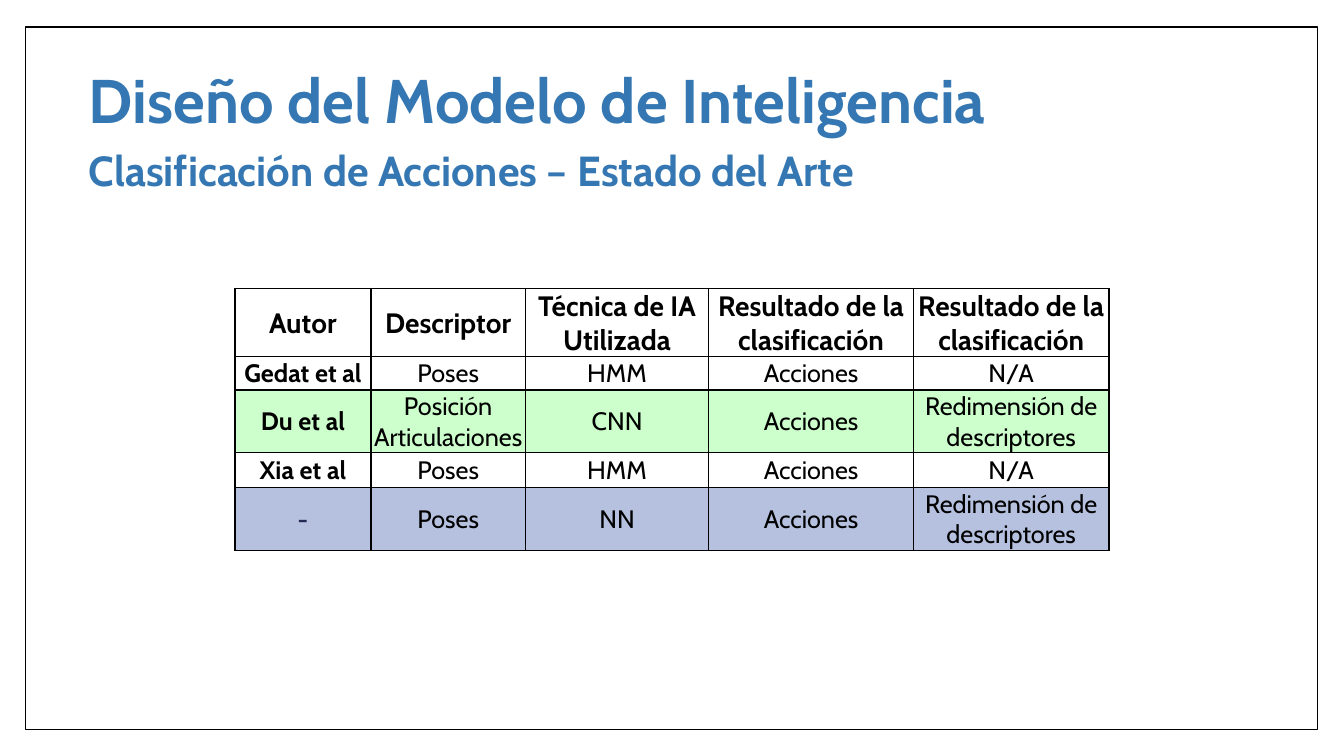
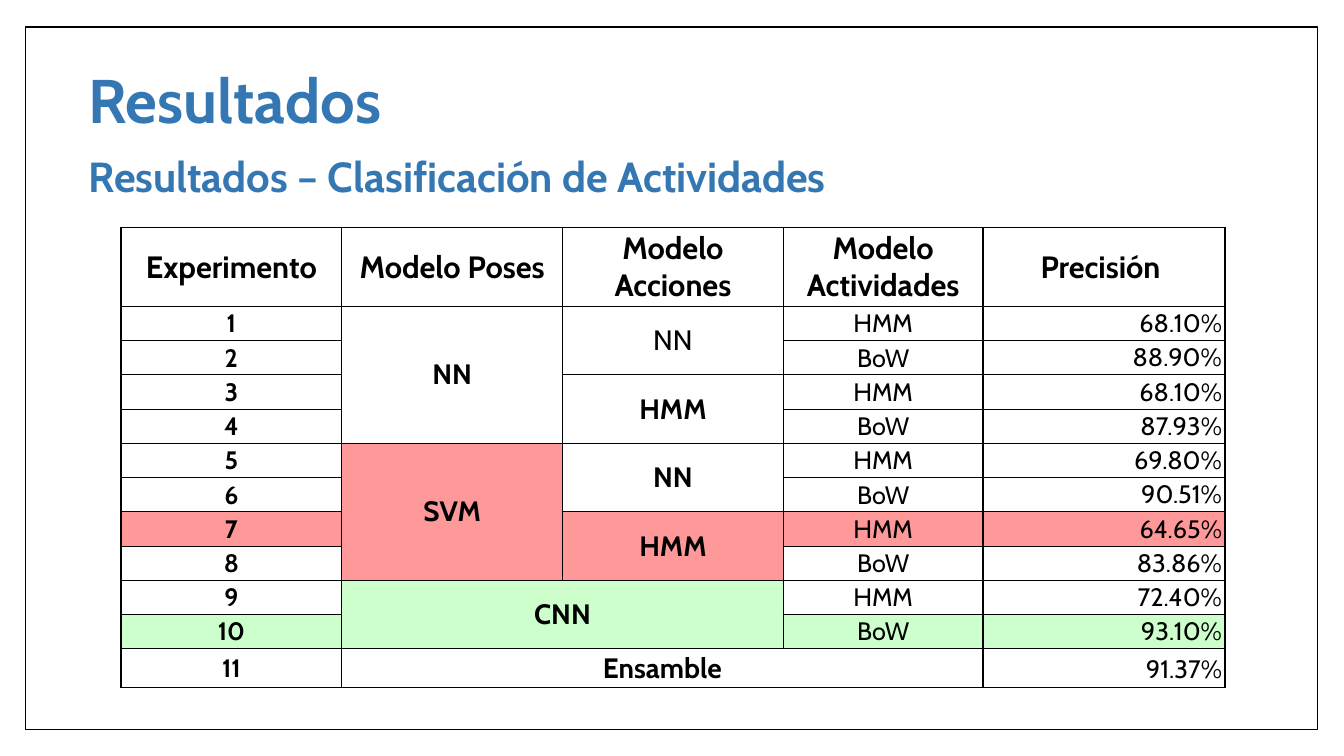
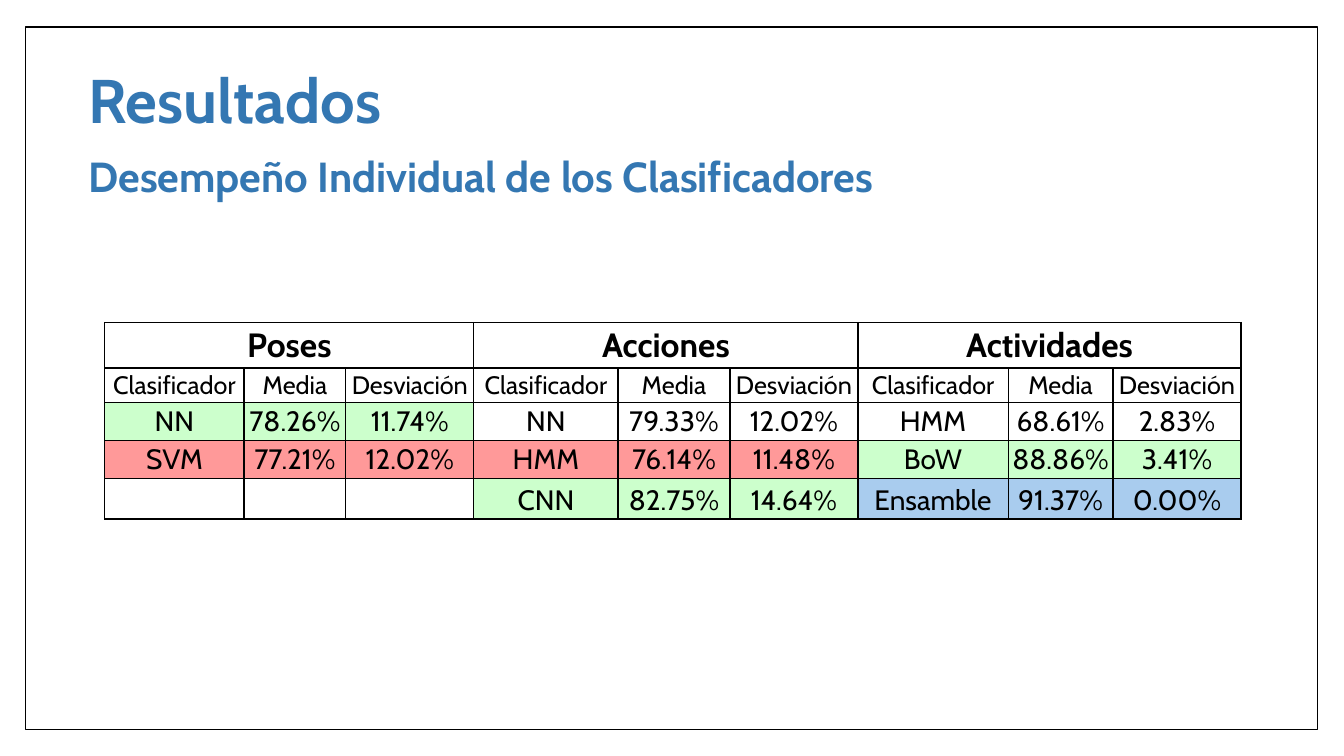
from lxml.etree import SubElement
from pptx import Presentation
from pptx.dml.color import RGBColor
from pptx.enum.shapes import MSO_SHAPE
from pptx.enum.text import MSO_ANCHOR, PP_ALIGN
from pptx.oxml.ns import qn
from pptx.util import Inches, Pt

FONT = "Cabin"
COLORS = {
    "title": "3477B2",
    "text": "000000",
    "line": "000000",
    "paper": "FFFFFF",
    "dash": "242852",
    "best": "CCFFCC",
    "worst": "FF9999",
    "proposal": "B5C1DF",
    "ensemble": "A9CCEE",
}


def write_text(frame, text, size=18, bold=False, color="text",
               align=PP_ALIGN.LEFT, anchor=MSO_ANCHOR.TOP, spacing=1.0):
    frame.word_wrap = True
    frame.vertical_anchor = anchor
    paragraph = frame.paragraphs[0]
    paragraph.alignment = align
    paragraph.line_spacing = spacing
    run = paragraph.add_run()
    run.text = text
    run.font.name = FONT
    run.font.size = Pt(size)
    run.font.bold = bold
    run.font.color.rgb = RGBColor.from_string(COLORS[color])


def add_grid(slide, left, top, widths, heights, insets, texts, fills, spans):
    table = slide.shapes.add_table(
        len(heights), len(widths), Inches(left), Inches(top),
        Inches(sum(widths)), Inches(sum(heights))).table
    table.first_row = False
    table.horz_banding = False
    for column, width in zip(table.columns, widths):
        column.width = Inches(width)
    for row, height in zip(table.rows, heights):
        row.height = Inches(height)
    fill_by_cell = {
        (row, column): color
        for row, first, last, color in fills
        for column in range(first, last + 1)
    }
    for row, values in enumerate(texts):
        for column, text in enumerate(values):
            cell = table.cell(row, column)
            cell.margin_left, cell.margin_top, cell.margin_right, cell.margin_bottom = map(Inches, insets)
            properties = cell._tc.get_or_add_tcPr()
            for side in ("a:lnL", "a:lnR", "a:lnT", "a:lnB"):
                border = SubElement(properties, qn(side), w=str(Pt(1)))
                border_fill = SubElement(border, qn("a:solidFill"))
                SubElement(border_fill, qn("a:srgbClr"), val=COLORS["line"])
            if (row, column) in fill_by_cell:
                cell.fill.solid()
                cell.fill.fore_color.rgb = RGBColor.from_string(COLORS[fill_by_cell[row, column]])
            else:
                cell.fill.background()
    for row, column, last_row, last_column in spans:
        table.cell(row, column).merge(table.cell(last_row, last_column))
    return table


presentation = Presentation()
presentation.slide_width = Inches(13.33)
presentation.slide_height = Inches(7.5)

headings = [
    ("Diseño del Modelo de Inteligencia", "Clasificación de Acciones – Estado del Arte", 1.38),
    ("Resultados", "Resultados – Clasificación de Actividades", 1.44),
    ("Resultados", "Desempeño Individual de los Clasificadores", 1.44),
]
slides = []
for title, subtitle, subtitle_top in headings:
    slide = presentation.slides.add_slide(presentation.slide_layouts[6])
    border_frame = slide.shapes.add_shape(
        MSO_SHAPE.RECTANGLE, Inches(0.25), Inches(0.27), Inches(12.82), Inches(6.97))
    border_frame.shadow.inherit = False
    border_frame.fill.solid()
    border_frame.fill.fore_color.rgb = RGBColor.from_string(COLORS["paper"])
    border_frame.line.color.rgb = RGBColor.from_string(COLORS["line"])
    border_frame.line.width = Pt(1)
    title_box = slide.shapes.add_textbox(Inches(0.78), Inches(0.29), Inches(10.8), Inches(1.48))
    write_text(title_box.text_frame, title, size=44, bold=True, color="title",
               anchor=MSO_ANCHOR.MIDDLE, spacing=0.9)
    subtitle_box = slide.shapes.add_textbox(Inches(0.78), Inches(subtitle_top), Inches(10.8), Inches(0.61))
    write_text(subtitle_box.text_frame, subtitle, size=30, bold=True, color="title")
    slides.append(slide)
art_slide, activity_slide, classifier_slide = slides

art_rows = [
    ["Autor", "Descriptor", "Técnica de IA Utilizada", "Resultado de la clasificación",
     "Resultado de la clasificación"],
    ["Gedat et al", "Poses", "HMM", "Acciones", "N/A"],
    ["Du et al", "Posición Articulaciones", "CNN", "Acciones", "Redimensión de descriptores"],
    ["Xia et al", "Poses", "HMM", "Acciones", "N/A"],
    ["-", "Poses", "NN", "Acciones", "Redimensión de descriptores"],
]
art_table = add_grid(
    art_slide, 2.33, 2.86, [1.35, 1.53, 1.82, 2.03, 1.94], [0.68, 0.33, 0.62, 0.35, 0.62],
    (0.01, 0.01, 0.01, 0), art_rows,
    fills=[(2, 0, 4, "best"), (4, 0, 4, "proposal")], spans=[])
for row, values in enumerate(art_rows):
    for column, text in enumerate(values):
        write_text(art_table.cell(row, column).text_frame, text,
                   size=20 if row == 0 else 18, bold=row == 0 or column == 0,
                   color="dash" if text == "-" else "text", align=PP_ALIGN.CENTER)
        art_table.cell(row, column).vertical_anchor = MSO_ANCHOR.MIDDLE

activity_rows = [
    ["Experimento", "Modelo Poses", "Modelo Acciones", "Modelo Actividades", "Precisión "],
    ["1", "NN", "NN", "HMM", "68.10%"],
    ["2", "", "", "BoW", "88.90%"],
    ["3", "", "HMM", "HMM", "68.10%"],
    ["4", "", "", "BoW", "87.93%"],
    ["5", "SVM", "NN", "HMM", "69.80%"],
    ["6", "", "", "BoW", "90.51%"],
    ["7", "", "HMM", "HMM", "64.65%"],
    ["8", "", "", "BoW", "83.86%"],
    ["9", "CNN", "", "HMM", "72.40%"],
    ["10", "", "", "BoW", "93.10%"],
    ["11", "Ensamble", "", "", "91.37%"],
]
activity_table = add_grid(
    activity_slide, 1.2, 2.26, [2.19, 2.19, 2.19, 1.98, 2.4], [0.78] + [0.34] * 10 + [0.38],
    (0.03, 0.02, 0.03, 0.02), activity_rows,
    fills=[(5, 1, 1, "worst"), (7, 0, 0, "worst"), (7, 2, 4, "worst"),
           (9, 1, 1, "best"), (10, 0, 0, "best"), (10, 3, 4, "best")],
    spans=[(1, 1, 4, 1), (5, 1, 8, 1), (9, 1, 10, 2), (11, 1, 11, 3)]
    + [(row, 2, row + 1, 2) for row in range(1, 9, 2)])
for row, values in enumerate(activity_rows):
    for column, text in enumerate(values):
        if not text:
            continue
        is_score = row > 0 and column == 4
        size = 22 if row == 0 else 20 if column in (1, 2) else 18
        write_text(activity_table.cell(row, column).text_frame, text, size=size,
                   bold=row == 0 or (column < 3 and (row, column) != (1, 2)),
                   align=PP_ALIGN.RIGHT if is_score else PP_ALIGN.CENTER)
        activity_table.cell(row, column).vertical_anchor = (
            MSO_ANCHOR.BOTTOM if is_score else MSO_ANCHOR.MIDDLE)

classifier_rows = [
    ["Poses", "", "", "Acciones", "", "", "Actividades", "", ""],
    ["Clasificador", "Media", "Desviación"] * 3,
    ["NN", "78.26%", "11.74%", "NN", "79.33%", "12.02%", "HMM", "68.61%", "2.83%"],
    ["SVM", "77.21%", "12.02%", "HMM", "76.14%", "11.48%", "BoW", "88.86%", "3.41%"],
    ["", "", "", "CNN", "82.75%", "14.64%", "Ensamble", "91.37%", "0.00%"],
]
classifier_table = add_grid(
    classifier_slide, 1.04, 3.2, [1.38, 1.01, 1.27, 1.43, 1.11, 1.27, 1.49, 1.04, 1.27],
    [0.45, 0.34, 0.38, 0.38, 0.4], (0.03, 0.02, 0.03, 0.02), classifier_rows,
    fills=[(2, 0, 2, "best"), (3, 0, 5, "worst"), (3, 6, 8, "best"),
           (4, 3, 5, "best"), (4, 6, 8, "ensemble")],
    spans=[(0, column, 0, column + 2) for column in (0, 3, 6)])
for row, values in enumerate(classifier_rows):
    for column, text in enumerate(values):
        if text:
            write_text(classifier_table.cell(row, column).text_frame, text,
                       size={0: 24, 1: 18}.get(row, 20), bold=row == 0, align=PP_ALIGN.CENTER)
            classifier_table.cell(row, column).vertical_anchor = MSO_ANCHOR.BOTTOM

presentation.save("out.pptx")
